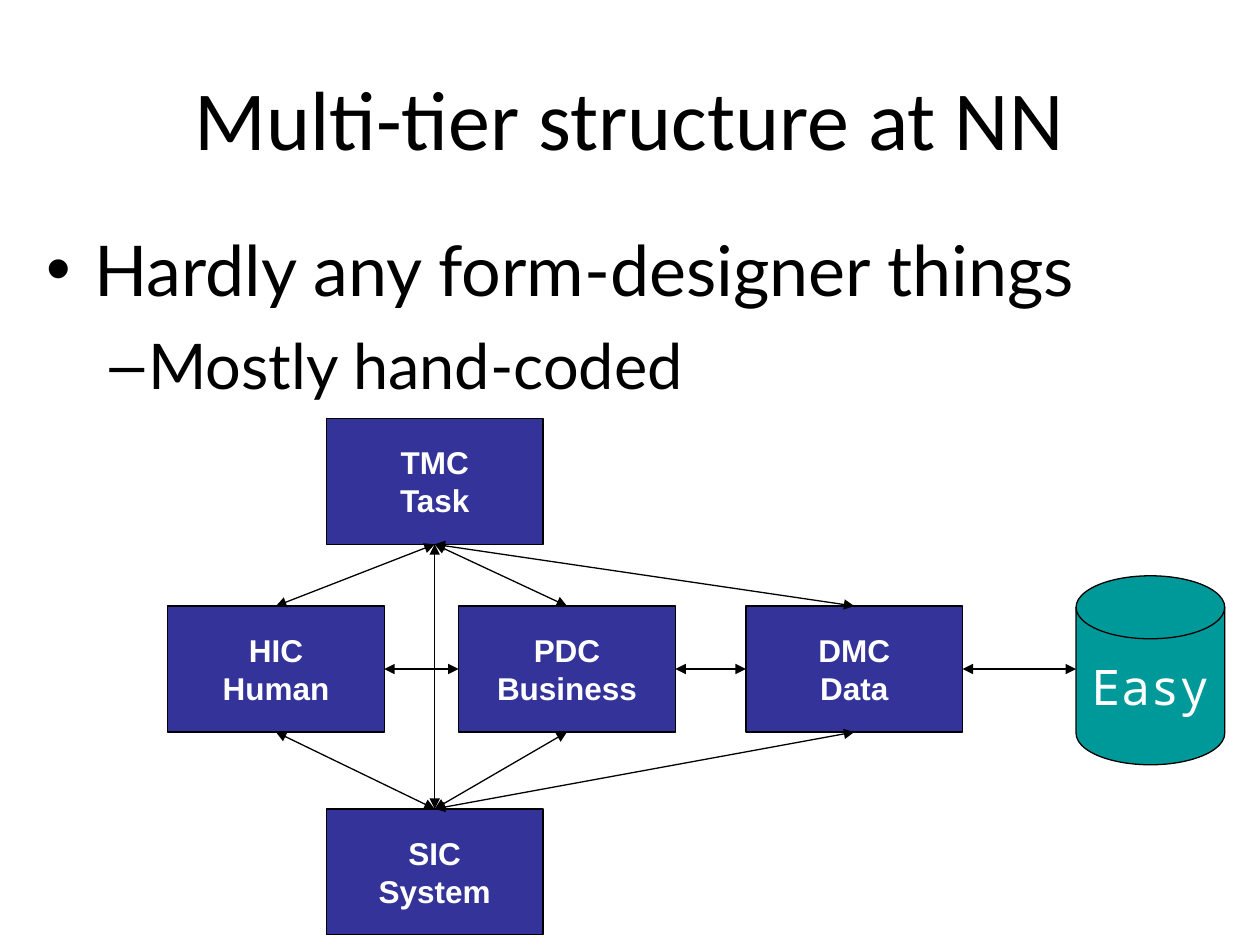
"""Build the slide on the multi-tier structure, with its tier diagram."""
from pptx import Presentation
from pptx import util as u
from pptx.dml.color import RGBColor
from pptx.enum import shapes, text
from pptx.oxml.ns import qn
from lxml import etree


def color(value):
    return RGBColor.from_string(value)


def format_paragraph(paragraph, font_name, size, font_color, bold=False):
    for run in paragraph.runs:
        run.font.name = font_name
        run.font.size = u.Pt(size)
        run.font.bold = bold
        run.font.color.rgb = color(font_color)


presentation = Presentation()
presentation.slide_width = u.Inches(10)
presentation.slide_height = u.Inches(7.5)
slide = presentation.slides.add_slide(presentation.slide_layouts[6])

title = slide.shapes.add_textbox(u.Inches(0.27), u.Inches(0.3), u.Inches(9.45), u.Inches(1.25))
title.text_frame.word_wrap = True
title.text_frame.vertical_anchor = text.MSO_ANCHOR.MIDDLE
title.text_frame.text = "Multi-tier structure at NN"
title_paragraph = title.text_frame.paragraphs[0]
title_paragraph.alignment = text.PP_ALIGN.CENTER
format_paragraph(title_paragraph, "Calibri", 48, "000000")

body = slide.shapes.add_textbox(u.Inches(0.27), u.Inches(1.75), u.Inches(9.45), u.Inches(5.39))
body.text_frame.word_wrap = True
body.text_frame.text = "Hardly any form-designer things\nMostly hand-coded"
bullets = [("•", 0, 0.38, -0.38, 0, 40), ("–", 1, 0.81, -0.31, 9, 36)]
for paragraph, (bullet, level, margin, indent, space, size) in zip(body.text_frame.paragraphs, bullets):
    paragraph.level = level
    paragraph.space_before = u.Pt(space)
    properties = paragraph._p.get_or_add_pPr()
    properties.set("marL", str(u.Inches(margin)))
    properties.set("indent", str(u.Inches(indent)))
    etree.SubElement(properties, qn("a:buFont")).set("typeface", "Arial")
    etree.SubElement(properties, qn("a:buChar")).set("char", bullet)
    format_paragraph(paragraph, "Lato", size, "000000")

RECTANGLE = shapes.MSO_SHAPE.RECTANGLE
DISK = shapes.MSO_SHAPE.FLOWCHART_MAGNETIC_DISK
box_style = (1.72, 1, RECTANGLE, "333399", "Arial", 18, True)
disk_style = (1.18, 1.5, DISK, "009999", "Noto Sans Mono", 28, False)
nodes = [
    ("HIC\nHuman", 1.33, 4.81, box_style),
    ("DMC\nData", 5.92, 4.81, box_style),
    ("TMC\nTask", 2.59, 3.32, box_style),
    ("PDC\nBusiness", 3.64, 4.81, box_style),
    ("SIC\nSystem", 2.59, 6.42, box_style),
    ("Easy", 8.54, 4.57, disk_style),
]
tiers = {}
for label, left, top, (width, height, kind, fill, font_name, size, bold) in nodes:
    shape = slide.shapes.add_shape(kind, u.Inches(left), u.Inches(top), u.Inches(width), u.Inches(height))
    shape.shadow.inherit = False
    shape.fill.solid()
    shape.fill.fore_color.rgb = color(fill)
    shape.line.color.rgb = color("000000")
    shape.line.width = u.Pt(0.75)
    shape.text_frame.word_wrap = False
    shape.text_frame.vertical_anchor = text.MSO_ANCHOR.MIDDLE
    shape.text_frame.text = label
    for paragraph in shape.text_frame.paragraphs:
        paragraph.alignment = text.PP_ALIGN.CENTER
        format_paragraph(paragraph, font_name, size, "FFFFFF", bold)
    tiers[label.split("\n")[0]] = shape

TOP, LEFT, BOTTOM, RIGHT = range(4)
links = [
    ("DMC", RIGHT, "Easy", LEFT),
    ("DMC", LEFT, "PDC", RIGHT),
    ("HIC", RIGHT, "PDC", LEFT),
    ("PDC", BOTTOM, "SIC", TOP),
    ("HIC", BOTTOM, "SIC", TOP),
    ("DMC", BOTTOM, "SIC", TOP),
    ("TMC", BOTTOM, "PDC", TOP),
    ("HIC", TOP, "TMC", BOTTOM),
    ("DMC", TOP, "TMC", BOTTOM),
    ("TMC", BOTTOM, "SIC", TOP),
]
for start, start_side, end, end_side in links:
    connector = slide.shapes.add_connector(
        shapes.MSO_CONNECTOR.STRAIGHT, u.Inches(7.64), u.Inches(5.31), u.Inches(8.54), u.Inches(5.31))
    connector.begin_connect(tiers[start], start_side)
    if end != "Easy":
        connector.end_connect(tiers[end], end_side)
    connector.line.color.rgb = color("000000")
    connector.line.width = u.Pt(0.75)
    line = connector.line._get_or_add_ln()
    for arrowhead in ("a:headEnd", "a:tailEnd"):
        etree.SubElement(line, qn(arrowhead)).set("type", "triangle")
    etree.SubElement(connector._element.spPr, qn("a:effectLst"))

presentation.save("out.pptx")
